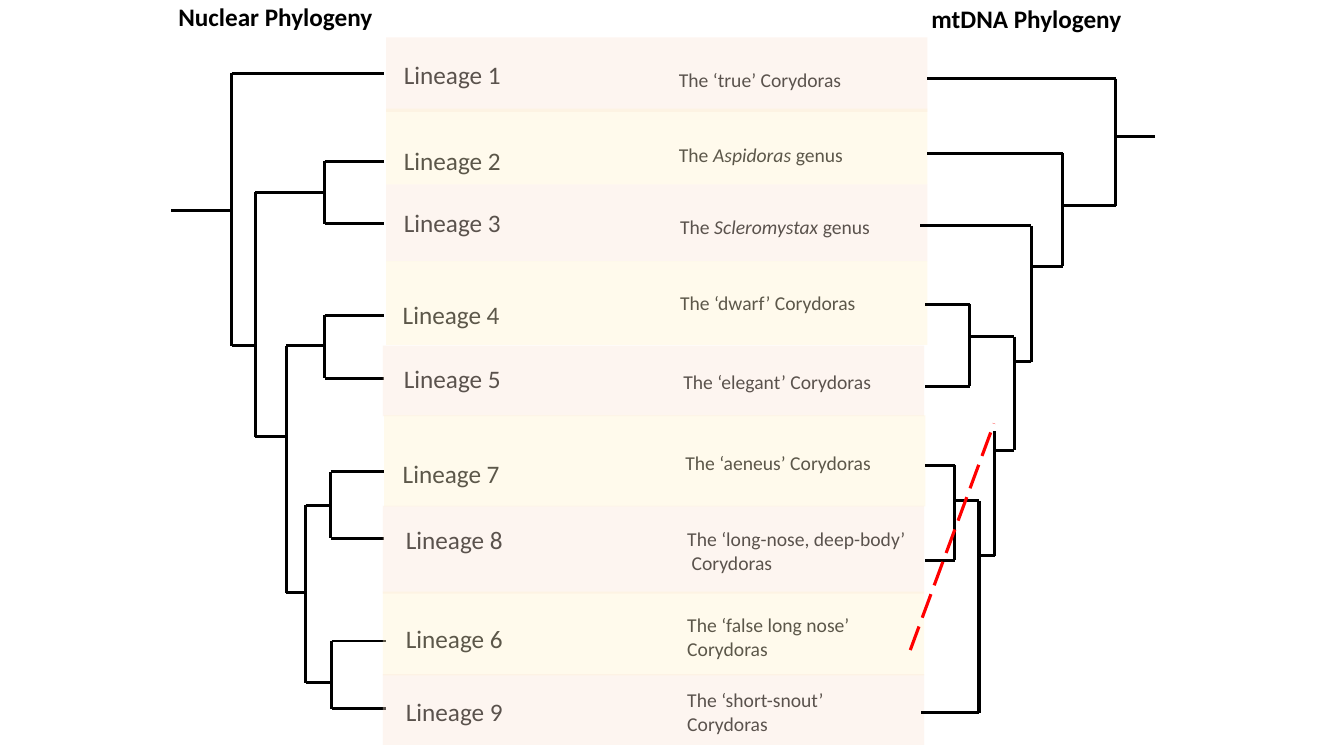
from dataclasses import dataclass
from pptx import Presentation
from pptx.dml.color import RGBColor
from pptx.enum.dml import MSO_LINE_DASH_STYLE as Dash
from pptx.enum.shapes import MSO_CONNECTOR as Conn, MSO_SHAPE as Shape
from pptx.enum.text import MSO_ANCHOR as Anchor, MSO_AUTO_SIZE as AutoSize
from pptx.oxml.ns import qn
from pptx.oxml.xmlchemy import OxmlElement
from pptx.util import Cm, Pt

BLACK = RGBColor(0, 0, 0)
RED = RGBColor(0xFF, 0, 0)
PEACH = RGBColor(0xFB, 0xE5, 0xD6)
CREAM = RGBColor(0xFF, 0xF2, 0xCC)
FONT = "Calibri"
BAND_OPACITY = 36000
TOP = 0.94


@dataclass
class Clade:
    x: float
    y: float
    kids: tuple = ()


@dataclass
class Lineage:
    band: tuple
    name: str
    name_at: tuple
    note: str
    note_at: tuple
    note_w: float


LINEAGES = [
    Lineage((0.08, 0, 1.88), "Lineage 1", (0.28, 0.43),
            "The ‘true’ Corydoras", (7.21, 0.64), 8.18),
    Lineage((0.08, 1.8, 1.91), "Lineage 2", (0.28, 2.59),
            "The *Aspidoras* genus", (7.21, 2.54), 5.31),
    Lineage((0.08, 3.71, 1.93), "Lineage 3", (0.28, 4.17),
            "The *Scleromystax* genus", (7.24, 4.34), 6.73),
    Lineage((0.08, 5.64, 2.11), "Lineage 4", (0.25, 6.48),
            "The ‘dwarf’ Corydoras", (7.24, 6.27), 5.54),
    Lineage((0, 7.77, 1.78), "Lineage 5", (0.28, 8.1),
            "The ‘elegant’ Corydoras", (7.32, 8.26), 7.04),
    Lineage((0.03, 9.53, 2.29), "Lineage 7", (0.25, 10.49),
            "The ‘aeneus’ Corydoras", (7.37, 10.31), 5.66),
    Lineage((0, 11.81, 2.21), "Lineage 8", (0.33, 12.14),
            "The ‘long-nose, deep-body’\nCorydoras", (7.42, 12.22), 10.92),
    Lineage((0, 13.97, 2.11), "Lineage 6", (0.33, 14.63),
            "The ‘false long nose’ Corydoras", (7.42, 14.38), 4.75),
    Lineage((0, 16.05, 1.78), "Lineage 9", (0.33, 16.48),
            "The ‘short-snout’ Corydoras", (7.42, 16.28), 4.75),
]


def pair(x, y, tip, first, second):
    return Clade(x, y, (Clade(tip, first), Clade(tip, second)))


NUCLEAR = Clade(0, 4.37, (Clade(1.52, 4.37, (
    Clade(5.36, 0.91),
    Clade(2.11, 7.77, (
        pair(3.86, 3.91, 5.36, 3.12, 4.7),
        Clade(2.9, 10.06, (
            pair(3.86, 7.77, 5.36, 7.01, 8.59),
            Clade(3.38, 14, (
                pair(4.01, 11.79, 5.36, 10.95, 12.62),
                pair(4.04, 16.26, 5.41, 15.21, 16.92))))))))),))

MTDNA = Clade(6.17, 2.49, (Clade(5.18, 2.49, (
    Clade(0.43, 1.04),
    Clade(3.84, 4.24, (
        Clade(0.43, 2.92),
        Clade(3.05, 5.77, (
            Clade(0.25, 4.75),
            Clade(2.62, 8.18, (
                pair(1.5, 7.54, 0.38, 6.73, 8.79),
                Clade(2.13, 10.41, (
                    Clade(2.13, 9.93),
                    Clade(1.73, 13.06, (
                        pair(1.12, 11.68, 0.38, 10.79, 13.18),
                        Clade(0.28, 17.02))))))))))))),))


def add_line(s, x1, y1, x2, y2, width, color=BLACK):
    line = s.shapes.add_connector(Conn.STRAIGHT, Cm(x1), Cm(y1), Cm(x2), Cm(y2))
    line.line.color.rgb = color
    line.line.width = Pt(width)
    line._element.spPr.append(OxmlElement("a:effectLst"))
    return line


def add_tree(s, left, top, clade, width):
    if not clade.kids:
        return
    x = left + clade.x
    ys = [kid.y for kid in clade.kids]
    if min(ys) != max(ys):
        add_line(s, x, top + min(ys), x, top + max(ys), width)
    for kid in clade.kids:
        if kid.x != clade.x:
            add_line(s, x, top + kid.y, left + kid.x, top + kid.y, width)
        add_tree(s, left, top, kid, width)


def set_font(p, size, bold=False):
    p.font.name = FONT
    p.font.size = Pt(size)
    p.font.bold = bold
    p.font.color.rgb = BLACK


def add_text(s, left, top, width, height, text, size):
    tf = s.shapes.add_textbox(Cm(left), Cm(top), Cm(width), Cm(height)).text_frame
    tf.word_wrap = True
    for i, row in enumerate(text.split("\n")):
        p = tf.add_paragraph() if i else tf.paragraphs[0]
        if i:
            p._p.get_or_add_pPr().set("marL", str(Cm(0.11)))
        set_font(p, size)
        for j, part in enumerate(row.split("*")):
            r = p.add_run()
            r.text = part
            if j % 2:
                r.font.italic = True


def add_band(s, left, top, width, height, color):
    sp = s.shapes.add_shape(Shape.RECTANGLE, Cm(left), Cm(top), Cm(width), Cm(height))
    sp.shadow.inherit = False
    sp.fill.solid()
    sp.fill.fore_color.rgb = color
    alpha = OxmlElement("a:alpha")
    alpha.set("val", str(BAND_OPACITY))
    sp._element.spPr.find(qn("a:solidFill"))[0].append(alpha)
    sp.line.fill.background()


def add_lineages(s, left, top, width):
    for row in LINEAGES:
        x, y = row.name_at
        add_text(s, left + x, top + y, 3.89, 1.63, row.name, 18)
        x, y = row.note_at
        add_text(s, left + x, top + y, row.note_w, 0.8, row.note, 14)
    for i, row in enumerate(LINEAGES):
        x, y, height = row.band
        add_band(s, left + x, top + y, width, height, CREAM if i % 2 else PEACH)


def add_heading(sp, left, top, text):
    sp.left, sp.top, sp.width, sp.height = Cm(left), Cm(top), Cm(5.46), Cm(1.02)
    tf = sp.text_frame
    tf.text = text
    tf.word_wrap = True
    tf.auto_size = AutoSize.NONE
    tf.vertical_anchor = Anchor.TOP
    p = tf.paragraphs[0]
    p.space_before = Pt(0)
    set_font(p, 18, bold=True)


def main():
    prs = Presentation()
    prs.slide_width, prs.slide_height = Cm(33.87), Cm(19.05)
    s = prs.slides.add_slide(prs.slide_layouts.get_by_name("Comparison"))
    headings = {1: (4.24, -0.1, "Nuclear Phylogeny"),
                3: (23.22, -0.05, "mtDNA Phylogeny")}
    for sp in list(s.placeholders):
        idx = sp.placeholder_format.idx
        if idx in headings:
            add_heading(sp, *headings[idx])
        else:
            sp._element.getparent().remove(sp._element)
    add_tree(s, 4.32, TOP, NUCLEAR, 2)
    add_lineages(s, 9.65, TOP, 13.64)
    add_tree(s, 22.94, TOP, MTDNA, 2.25)
    conflict = add_line(s, 22.94, TOP + 15.44, 25.05, TOP + 9.73, 2.25, RED)
    conflict.line.dash_style = Dash.LONG_DASH
    prs.save("out.pptx")


if __name__ == "__main__":
    main()
